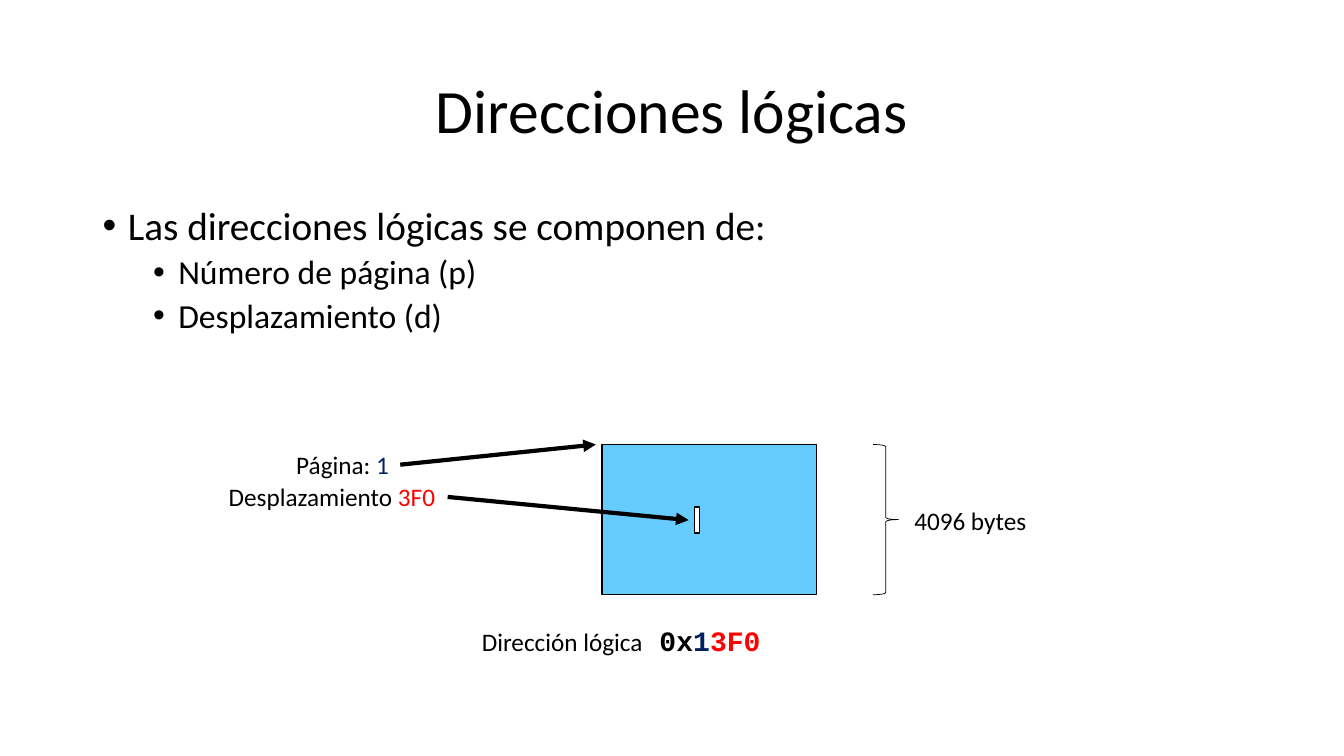
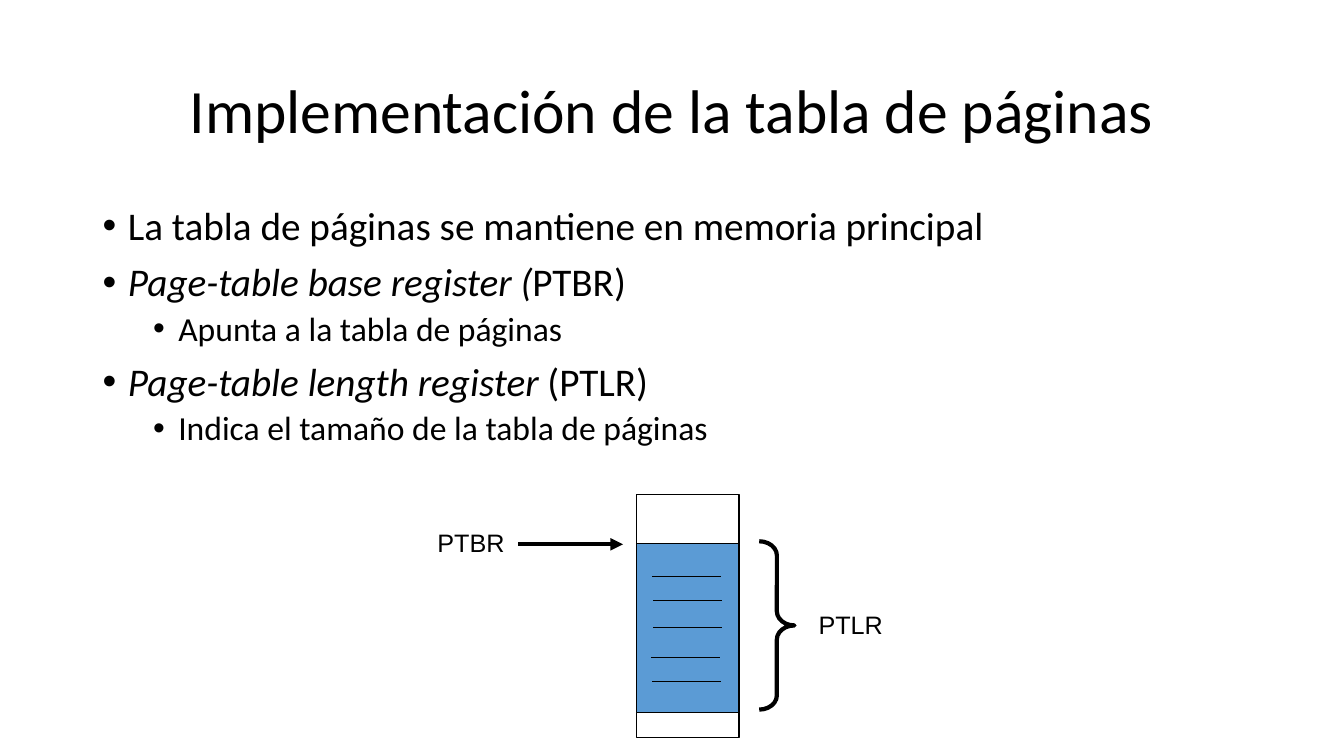
from lxml import etree
from pptx import Presentation
from pptx import util as u
from pptx.dml.color import RGBColor
from pptx.enum import shapes, text
from pptx.oxml.ns import qn

COLORS = {"ink": "000000", "paper": "FFFFFF", "page": "66CCFF",
          "table": "5B9BD5", "number": "002060", "offset": "FF0000"}
WIDTH, HEIGHT = 13.33, 7.5
MARGIN = 0.92
TITLE_BOX = (MARGIN, 0.4, WIDTH - 2 * MARGIN, 1.45)
BODY_BOX = (MARGIN, 2, WIDTH - 2 * MARGIN, 4.76)
LABEL_HEIGHT = 0.4
TITLE = {"size": u.Pt(44), "name": "Calibri"}
LABEL = {"size": u.Pt(18), "name": "Calibri"}
REGISTER = {"size": u.Pt(18), "name": "Arial"}
CODE = {"size": u.Pt(20), "name": "Courier New", "bold": True}
LEVELS = [
    {"indent": 0.25, "font": {"size": u.Pt(28), "name": "Calibri"},
     "spacing": {"line_spacing": 0.9, "space_before": u.Pt(10)}},
    {"indent": 0.75, "font": {"size": u.Pt(24), "name": "Calibri"},
     "spacing": {"line_spacing": 0.9, "space_before": u.Pt(5)}},
]


def write(paragraph, runs):
    for words, font, color in runs:
        run = paragraph.add_run()
        run.text = words
        for key, value in font.items():
            setattr(run.font, key, value)
        run.font.color.rgb = RGBColor.from_string(COLORS[color])


def outline(item, weight, arrow=False):
    item.line.color.rgb = RGBColor.from_string(COLORS["ink"])
    item.line.width = u.Pt(weight)
    if arrow:
        etree.SubElement(item.line._get_or_add_ln(), qn("a:tailEnd"), type="triangle")
    etree.SubElement(item._element.spPr, qn("a:effectLst"))


page_left, page_top, page_width, page_height = 5.97, 4.41, 2.13, 1.49
byte_top, byte_height = 5.03, 0.26
byte_middle = byte_top + byte_height / 2
table_left, table_top, table_width, table_height = 6.31, 5.39, 1.02, 1.68
entry_width = table_width * 2 / 3
entries = [(6.47, 5.72), (6.48, 5.96), (6.48, 6.23), (6.46, 6.52), (6.47, 6.76)]

slides = [
    {
        "title": "Direcciones lógicas",
        "points": [
            (0, [("Las direcciones lógicas se componen de:", False)]),
            (1, [("Número de página (p)", False)]),
            (1, [("Desplazamiento (d)", False)]),
        ],
        "forms": [
            ("RECTANGLE", (page_left, page_top, page_width, page_height), "page", 1, []),
            ("RIGHT_BRACE", (8.66, page_top, 0.25, page_height), None, 0.5, []),
            ("RECTANGLE", (6.89, byte_top, 0.05, byte_height), "paper", 1, []),
        ],
        "lines": [
            ((3.97, 4.61), (5.91, page_top), 3, True),
            ((4.44, 4.93), (6.83, byte_middle), 3, True),
        ],
        "labels": [
            ((8.97, 4.96, 1.7, LABEL_HEIGHT), [("4096 bytes", LABEL, "ink")]),
            ((2.84, page_top, 1.13, LABEL_HEIGHT),
             [("Página: ", LABEL, "ink"), ("1", LABEL, "number")]),
            ((2.17, 4.73, 2.27, LABEL_HEIGHT),
             [("Desplazamiento ", LABEL, "ink"), ("3F0", LABEL, "offset")]),
            ((4.68, 6.14, 2.99, 0.44),
             [("Dirección lógica", LABEL, "ink"), (" 0x", CODE, "ink"),
              ("1", CODE, "number"), ("3F0", CODE, "offset")]),
        ],
    },
    {
        "title": "Implementación de la tabla de páginas",
        "points": [
            (0, [("La tabla de páginas se mantiene en memoria principal", False)]),
            (0, [("Page-table base register (", True), ("PTBR)", False)]),
            (1, [("Apunta a la tabla de páginas", False)]),
            (0, [("Page-table length register", True), (" (PTLR)", False)]),
            (1, [("Indica el tamaño de la tabla de páginas", False)]),
        ],
        "forms": [
            ("RECTANGLE", (table_left, 4.91, table_width, 2.41), None, 0.75, []),
            ("RIGHT_BRACE", (7.53, 5.37, 0.35, 1.67), None, 3, [0.4, 0.5]),
            ("RECTANGLE", (table_left, table_top, table_width, table_height),
             "table", 0.75, []),
        ],
        "lines": [((x, y), (x + entry_width, y), 0.75, False) for x, y in entries]
        + [((5.14, 5.4), (6.18, 5.4), 3, True)],
        "labels": [
            ((8.02, 6, 0.84, LABEL_HEIGHT), [("PTLR", REGISTER, "ink")]),
            ((4.24, 5.18, 0.87, LABEL_HEIGHT), [("PTBR", REGISTER, "ink")]),
        ],
    },
]

deck = Presentation()
deck.slide_width, deck.slide_height = u.Inches(WIDTH), u.Inches(HEIGHT)

for content in slides:
    slide = deck.slides.add_slide(deck.slide_layouts[6])

    heading = slide.shapes.add_textbox(*map(u.Inches, TITLE_BOX)).text_frame
    heading.word_wrap = True
    heading.vertical_anchor = text.MSO_ANCHOR.MIDDLE
    heading.paragraphs[0].alignment = text.PP_ALIGN.CENTER
    heading.paragraphs[0].line_spacing = 0.9
    write(heading.paragraphs[0], [(content["title"], TITLE, "ink")])

    body = slide.shapes.add_textbox(*map(u.Inches, BODY_BOX)).text_frame
    body.word_wrap = True
    for index, (level, parts) in enumerate(content["points"]):
        point = body.add_paragraph() if index else body.paragraphs[0]
        style = LEVELS[level]
        point.level = level
        for key, value in style["spacing"].items():
            setattr(point, key, value)
        properties = point._p.get_or_add_pPr()
        properties.set("marL", str(u.Inches(style["indent"])))
        properties.set("indent", str(u.Inches(-0.25)))
        etree.SubElement(properties, qn("a:buFont"), typeface="Arial")
        etree.SubElement(properties, qn("a:buChar"), char="•")
        write(point, [(words, {**style["font"], "italic": italic}, "ink")
                      for words, italic in parts])

    for kind, box, fill, weight, adjustments in content["forms"]:
        form = slide.shapes.add_shape(shapes.MSO_SHAPE[kind], *map(u.Inches, box))
        if fill:
            form.fill.solid()
            form.fill.fore_color.rgb = RGBColor.from_string(COLORS[fill])
        else:
            form.fill.background()
        for index, value in enumerate(adjustments):
            form.adjustments[index] = value
        outline(form, weight)

    for start, end, weight, arrow in content["lines"]:
        line = slide.shapes.add_connector(
            shapes.MSO_CONNECTOR.STRAIGHT, *map(u.Inches, start + end))
        outline(line, weight, arrow)

    for box, runs in content["labels"]:
        label = slide.shapes.add_textbox(*map(u.Inches, box)).text_frame
        label.word_wrap = False
        label.auto_size = text.MSO_AUTO_SIZE.SHAPE_TO_FIT_TEXT
        write(label.paragraphs[0], runs)

deck.save("out.pptx")
